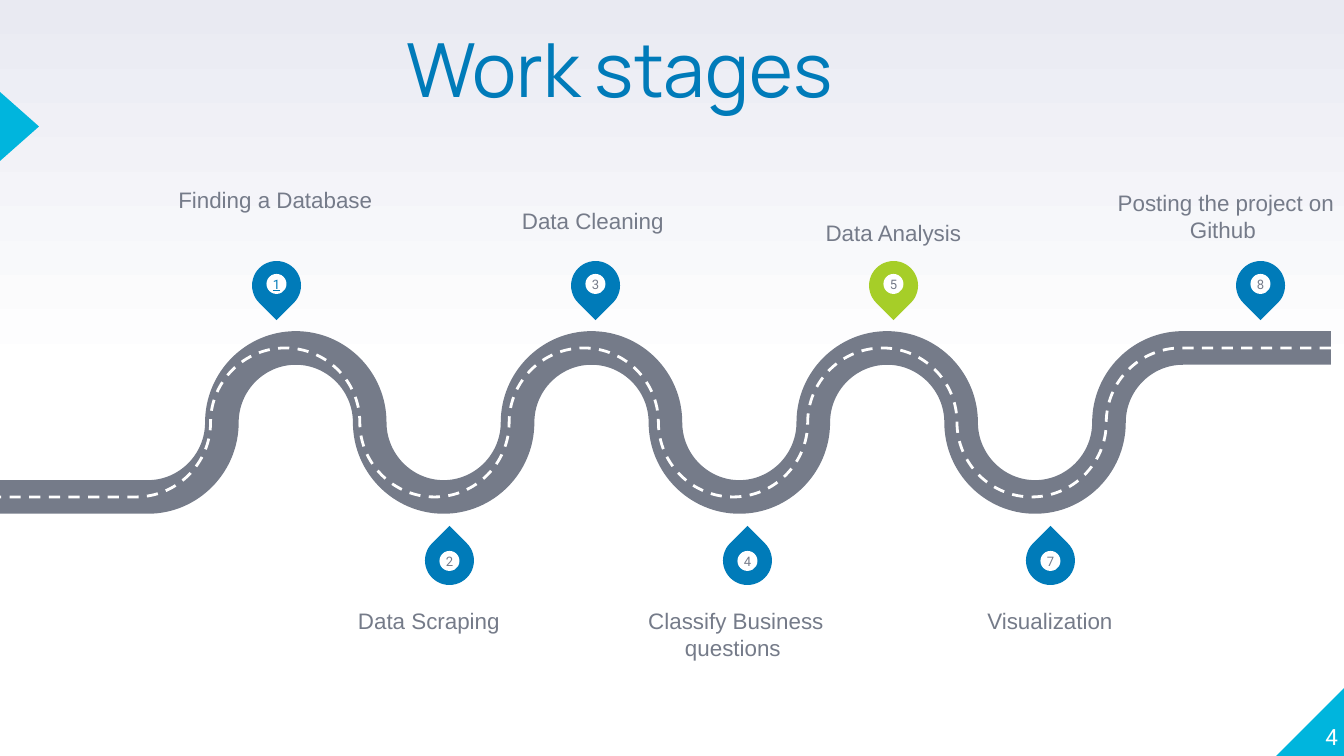
from itertools import pairwise

from lxml.etree import SubElement
from pptx import Presentation
from pptx.dml.color import RGBColor
from pptx.enum.dml import MSO_LINE
from pptx.enum.shapes import MSO_SHAPE
from pptx.enum.text import MSO_ANCHOR, MSO_AUTO_SIZE, PP_ALIGN
from pptx.oxml.ns import qn
from pptx.util import Pt

EMU_PER_PX = 914400 / 134.4
WHITE = RGBColor(0xFF, 0xFF, 0xFF)
LAVENDER = RGBColor(0xE9, 0xEA, 0xF2)
CYAN = RGBColor(0x00, 0xB5, 0xDD)
BLUE = RGBColor(0x00, 0x7B, 0xB9)
GREEN = RGBColor(0xA6, 0xCE, 0x28)
GRAY = RGBColor(0x75, 0x7B, 0x89)

ROAD_TOP, ROAD_BOTTOM, ROAD_END = 348, 497, 1331
BENDS = 8
ARC_HANDLE = 0.55
PIN, DOT = 49, 20
UPPER_PIN_Y, UPPER_DOT_Y = 261, 274
LOWER_PIN_Y, LOWER_DOT_Y = 536, 551

STAGES = [
    ("1", 252, "Finding a Database ", (152, 186, 253, 62)),
    ("2", 425, "Data Scraping ", (319, 607, 226, 52)),
    ("3", 571, "Data Cleaning ", (501, 207, 190, 43)),
    ("4", 723, "Classify Business questions ", (630, 607, 212, 62)),
    ("5", 869, "Data Analysis", (772, 219, 243, 52)),
    ("7", 1026, "Visualization", (955, 607, 190, 62)),
    ("8", 1236, "Posting the project on Github ", (1113, 189, 226, 78)),
]


def px(value):
    return round(value * EMU_PER_PX)


def box(*lengths):
    return [px(length) for length in lengths]


def write(shape, text, size, font, color, align=None, anchor=MSO_ANCHOR.TOP):
    frame = shape.text_frame
    frame.text = text
    frame.word_wrap = True
    frame.auto_size = MSO_AUTO_SIZE.NONE
    frame.vertical_anchor = anchor
    frame.margin_left = frame.margin_right = 0
    frame.margin_top = frame.margin_bottom = 0
    paragraph = frame.paragraphs[0]
    paragraph.alignment = align
    run = paragraph.runs[0]
    run.font.size = Pt(size)
    run.font.name = font
    run.font.color.rgb = color
    return paragraph


def add_solid(shapes, preset, bounds, color, rotation=0):
    solid = shapes.add_shape(preset, *box(*bounds))
    solid.shadow.inherit = False
    solid.fill.solid()
    solid.fill.fore_color.rgb = color
    solid.line.fill.background()
    solid.rotation = rotation
    return solid


def road_nodes(start, first_bend, last_bend):
    half = (last_bend - first_bend) / (BENDS - 1) / 2
    middle = (ROAD_TOP + ROAD_BOTTOM) / 2
    heights = (ROAD_BOTTOM, middle, ROAD_TOP, middle)
    nodes = [(first_bend + half * quarter, heights[quarter % 4])
             for quarter in range(2 * BENDS - 1)]
    return [(ROAD_END, ROAD_TOP), *nodes[::-1], (start, ROAD_BOTTOM)]


def round_bends(road):
    outline = next(road._element.iter(qn("a:path")))
    segments = outline.findall(qn("a:lnTo"))
    points = [(int(pt.get("x")), int(pt.get("y")))
              for pt in outline.iter(qn("a:pt"))]
    quarters = zip(segments[1:-1], pairwise(points[1:-1]))
    for index, (segment, ((x1, y1), (x2, y2))) in enumerate(quarters):
        dx, dy = (x2 - x1) * ARC_HANDLE, (y2 - y1) * ARC_HANDLE
        if index % 2 == 0:
            handles = [(x1 + dx, y1), (x2, y2 - dy)]
        else:
            handles = [(x1, y1 + dy), (x2 - dx, y2)]
        curve = outline.makeelement(qn("a:cubicBezTo"))
        for x, y in [*handles, (x2, y2)]:
            SubElement(curve, qn("a:pt"), x=str(round(x)), y=str(round(y)))
        outline.replace(segment, curve)


def add_road(slide, nodes, color, width, dash=None):
    start, *rest = [box(*node) for node in nodes]
    builder = slide.shapes.build_freeform(*start, scale=1.0)
    builder.add_line_segments(rest, close=False)
    road = builder.convert_to_shape()
    round_bends(road)
    road.shadow.inherit = False
    road.fill.background()
    road.line.color.rgb = color
    road.line.width = Pt(width)
    if dash:
        road.line.dash_style = dash


def add_pin(slide, number, left, is_upper):
    pin_y, dot_y, rotation = (
        (UPPER_PIN_Y, UPPER_DOT_Y, 135) if is_upper
        else (LOWER_PIN_Y, LOWER_DOT_Y, 315))
    pin = slide.shapes.add_group_shape()
    add_solid(pin.shapes, MSO_SHAPE.TEAR, (left, pin_y, PIN, PIN),
              GREEN if number == "5" else BLUE, rotation)
    dot = add_solid(pin.shapes, MSO_SHAPE.OVAL,
                    (left + (PIN - DOT) / 2, dot_y, DOT, DOT), WHITE)
    is_first = number == "1"
    digit = write(dot, number, 7, "Roboto", BLUE if is_first else GRAY,
                  PP_ALIGN.CENTER, MSO_ANCHOR.MIDDLE)
    if is_first:
        digit.runs[0].font.underline = True


def add_label(slide, text, bounds):
    label = slide.shapes.add_textbox(*box(*bounds))
    write(label, text, 12, "Arial", GRAY, PP_ALIGN.CENTER)


def set_background(slide):
    fill = slide.background.fill
    fill.gradient()
    fill.gradient_angle = 90
    for stop, position, color in zip(
            fill.gradient_stops, (0.5, 1), (WHITE, LAVENDER)):
        stop.position = position
        stop.color.rgb = color


def set_title(slide, text):
    title = slide.shapes.title
    title.left, title.top, title.width, title.height = box(392, 40, 477, 90)
    heading = write(title, text, 40, "Manrope", BLUE, PP_ALIGN.LEFT)
    heading.line_spacing = 0.8


def add_page_number(slide, number):
    page = slide.shapes.add_textbox(*box(1271, 681, 67, 69))
    write(page, number, 12, "Roboto", WHITE, PP_ALIGN.RIGHT, MSO_ANCHOR.BOTTOM)


def main():
    deck = Presentation()
    deck.slide_width, deck.slide_height = box(1344, 756)
    slide = deck.slides.add_slide(deck.slide_layouts[5])
    set_background(slide)
    set_title(slide, " Work stages")
    add_solid(slide.shapes, MSO_SHAPE.RIGHT_TRIANGLE,
              (1276, 688, 68, 68), CYAN, 270)
    add_solid(slide.shapes, MSO_SHAPE.ISOSCELES_TRIANGLE,
              (-15, 107, 69, 39), CYAN, 90)
    add_page_number(slide, "4")
    add_road(slide, road_nodes(0, 148, 1183), GRAY, 18)
    add_road(slide, road_nodes(-13, 136, 1181), WHITE, 1.5, MSO_LINE.DASH)
    for index, (number, left, text, bounds) in enumerate(STAGES):
        add_pin(slide, number, left, index % 2 == 0)
        add_label(slide, text, bounds)
    deck.save("out.pptx")


if __name__ == "__main__":
    main()
